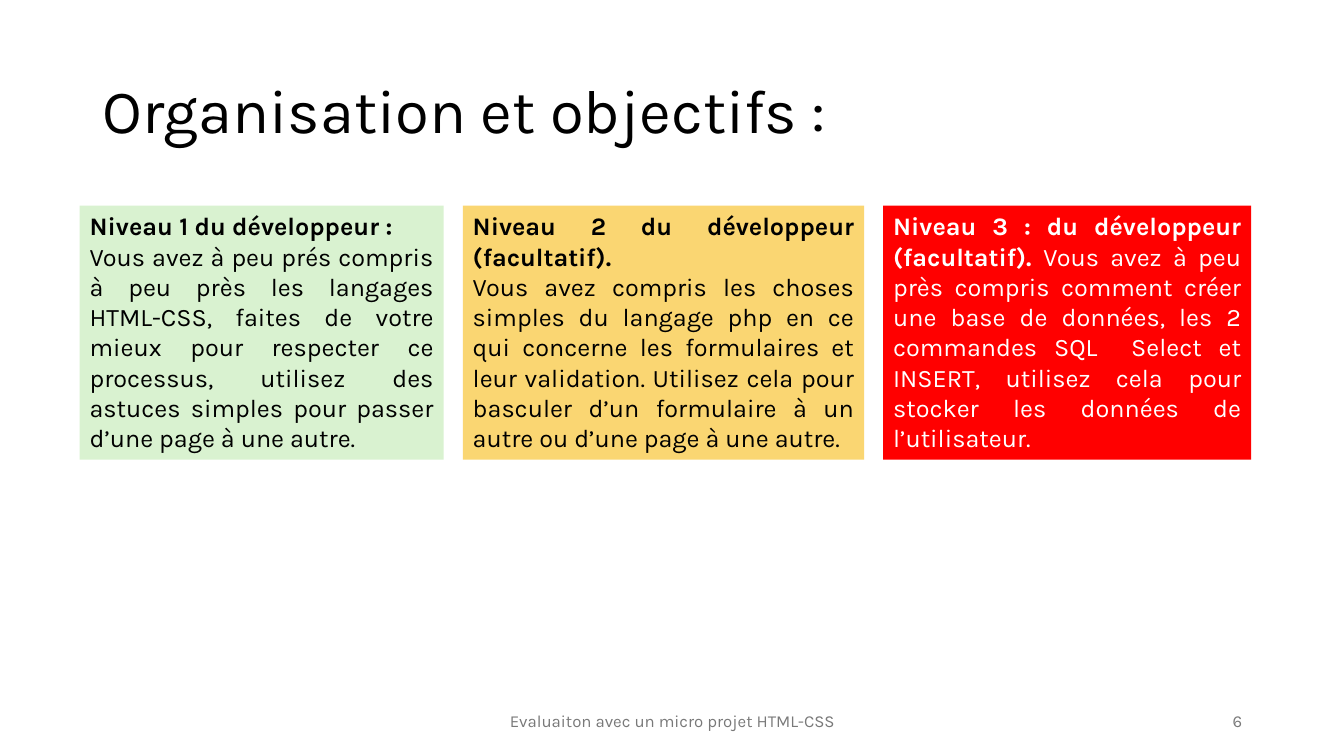
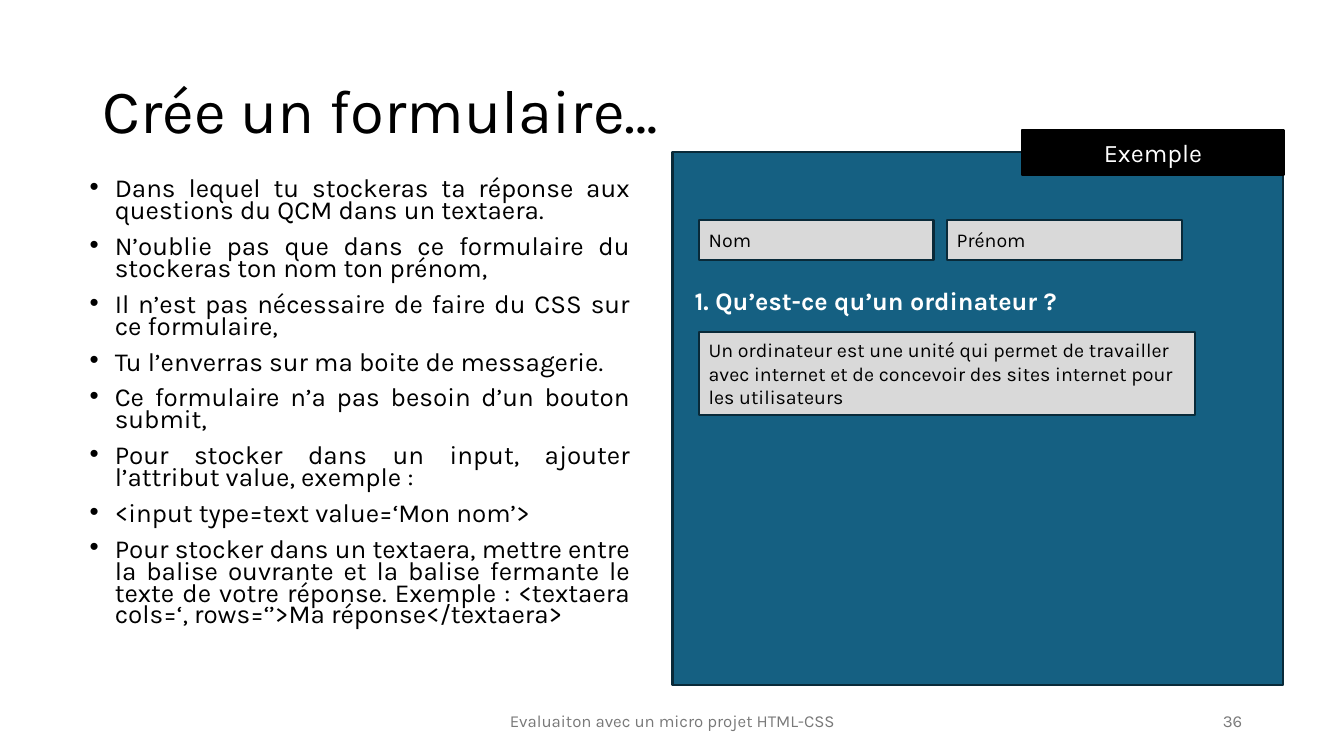
"""Build two slides of a web project course: level goals and a form example."""
from dataclasses import dataclass

from lxml import etree
from pptx import Presentation
from pptx.dml.color import RGBColor
from pptx.enum.shapes import MSO_SHAPE
from pptx.enum.text import MSO_ANCHOR, PP_ALIGN
from pptx.oxml.ns import qn
from pptx.util import Inches, Pt

RECTANGLE = MSO_SHAPE.RECTANGLE
TOP, MIDDLE = MSO_ANCHOR.TOP, MSO_ANCHOR.MIDDLE
LEFT, CENTER = PP_ALIGN.LEFT, PP_ALIGN.CENTER
RIGHT, JUSTIFY = PP_ALIGN.RIGHT, PP_ALIGN.JUSTIFY


@dataclass(frozen=True)
class Theme:
    font: str = "Karla"
    black: str = "000000"
    white: str = "FFFFFF"
    grey: str = "797979"
    green: str = "D9F2D0"
    amber: str = "FAD672"
    red: str = "FF0000"
    panel: str = "156082"
    field: str = "D9D9D9"
    outline: str = "092A39"
    title_size: float = 44
    bullet_size: float = 18.6
    body_size: float = 18
    field_size: float = 14
    footer_size: float = 12
    line_width: float = 1.5


THEME = Theme()
TITLE = {"size": THEME.title_size, "anchor": MIDDLE, "layout": {"line_spacing": 0.9}}
FOOTER = {"size": THEME.footer_size, "color": THEME.grey, "anchor": MIDDLE}
FIELD = {"size": THEME.field_size, "fill": THEME.field, "line": THEME.outline, "anchor": MIDDLE}
BULLETS = {"size": THEME.bullet_size, "align": JUSTIFY, "bullet": True,
           "layout": {"line_spacing": 0.7, "space_before": Pt(10)}}


def add_box(slide, place, paragraphs, size=THEME.body_size, color=THEME.black,
            fill=None, line=None, anchor=TOP, align=LEFT, layout=None, bullet=False):
    """Add a text box or filled rectangle; each paragraph lists (text, bold) runs."""
    bounds = [Inches(length) for length in place]
    if fill:
        box = slide.shapes.add_shape(RECTANGLE, *bounds)
        box.shadow.inherit = False
        box.fill.solid()
        box.fill.fore_color.rgb = RGBColor.from_string(fill)
        if line:
            box.line.color.rgb = RGBColor.from_string(line)
            box.line.width = Pt(THEME.line_width)
        else:
            box.line.fill.background()
    else:
        box = slide.shapes.add_textbox(*bounds)
    frame = box.text_frame
    frame.word_wrap = True
    frame.vertical_anchor = anchor
    for index, runs in enumerate(paragraphs):
        paragraph = frame.add_paragraph() if index else frame.paragraphs[0]
        for attribute, value in {"alignment": align, **(layout or {})}.items():
            setattr(paragraph, attribute, value)
        if bullet:
            properties = paragraph._p.get_or_add_pPr()
            properties.set("marL", str(Inches(0.25)))
            properties.set("indent", str(Inches(-0.25)))
            etree.SubElement(properties, qn("a:buFont"), typeface="Arial")
            etree.SubElement(properties, qn("a:buChar"), char="•")
        for text, bold in runs:
            run = paragraph.add_run()
            run.text = text
            style = {"name": THEME.font, "size": Pt(size), "bold": bold}
            for attribute, value in style.items():
                setattr(run.font, attribute, value)
            run.font.color.rgb = RGBColor.from_string(color)


def start_slide(deck, title, number):
    """Add a blank slide with the shared title and footer."""
    slide = deck.slides.add_slide(deck.slide_layouts[6])
    add_box(slide, (0.92, 0.4, 11.5, 1.45), [[(title, False)]], **TITLE)
    add_box(slide, (4.42, 6.95, 4.5, 0.4),
            [[("Evaluaiton avec un micro projet HTML-CSS", False)]], align=CENTER, **FOOTER)
    add_box(slide, (9.42, 6.95, 3, 0.4), [[(number, False)]], align=RIGHT, **FOOTER)
    return slide


deck = Presentation()
deck.slide_width = Inches(13.33)
deck.slide_height = Inches(7.5)

goals = start_slide(deck, "Organisation et objectifs :", "6")
levels = [
    (3.61, THEME.green, THEME.black, [
        [("Niveau 1 du développeur :", True)],
        [("Vous avez à peu prés compris à peu près les langages HTML-CSS, faites de votre "
          "mieux pour respecter ce processus, utilisez des astuces simples pour passer "
          "d’une page à une autre.", False)]]),
    (3.98, THEME.amber, THEME.black, [
        [("Niveau 2 du développeur (facultatif).", True)],
        [("Vous avez compris les choses simples du langage php en ce qui concerne les "
          "formulaires et leur validation. Utilisez cela pour basculer d’un formulaire "
          "à un autre ou d’une page à une autre.", False)]]),
    (3.65, THEME.red, THEME.white, [
        [("Niveau 3 : du développeur (facultatif). ", True),
         ("Vous avez à peu près compris comment créer une base de données, les 2 commandes "
          "SQL  Select et INSERT, utilisez cela pour stocker les données de "
          "l’utilisateur.", False)]]),
]
level_left, level_gap = 0.79, 0.19
for width, fill, color, paragraphs in levels:
    add_box(goals, (level_left, 2.04, width, 2.52), paragraphs,
            fill=fill, color=color, align=JUSTIFY)
    level_left += width + level_gap

form = start_slide(deck, "Crée un formulaire…", "36")
instructions = [
    "Dans lequel tu stockeras ta réponse aux questions du QCM dans un textaera.",
    "N’oublie pas que dans ce formulaire du stockeras ton nom ton prénom,",
    "Il n’est pas nécessaire de faire du CSS sur ce formulaire,",
    "Tu l’enverras sur ma boite de messagerie.",
    "Ce formulaire n’a pas besoin d’un bouton submit,",
    "Pour stocker dans un input, ajouter l’attribut value, exemple :",
    "<input type=text value=‘Mon nom’>",
    "Pour stocker dans un textaera, mettre entre la balise ouvrante et la balise fermante "
    "le texte de votre réponse. Exemple : <textaera cols=‘, rows=‘’>Ma réponse</textaera>",
]
add_box(form, (0.79, 1.74, 5.56, 4.76), [[(text, False)] for text in instructions], **BULLETS)
add_box(form, (6.67, 1.51, 6.06, 5.29), [], fill=THEME.panel, line=THEME.outline)

fields = [
    ((6.93, 2.18, 2.33, 0.4), "Nom"),
    ((9.39, 2.18, 2.33, 0.4), "Prénom"),
    ((6.93, 3.29, 4.92, 0.83), "Un ordinateur est une unité qui permet de travailler avec "
     "internet et de concevoir des sites internet pour les utilisateurs"),
]
for place, text in fields:
    add_box(form, place, [[(text, False)]], **FIELD)
add_box(form, (6.79, 2.78, 4.07, 0.4), [[("1. Qu’est-ce qu’un ordinateur ?", True)]],
        color=THEME.white)
add_box(form, (10.14, 1.29, 2.59, 0.45), [[("Exemple", False)]], color=THEME.white,
        fill=THEME.black, line=THEME.black, anchor=MIDDLE, align=CENTER)

deck.save("out.pptx")
